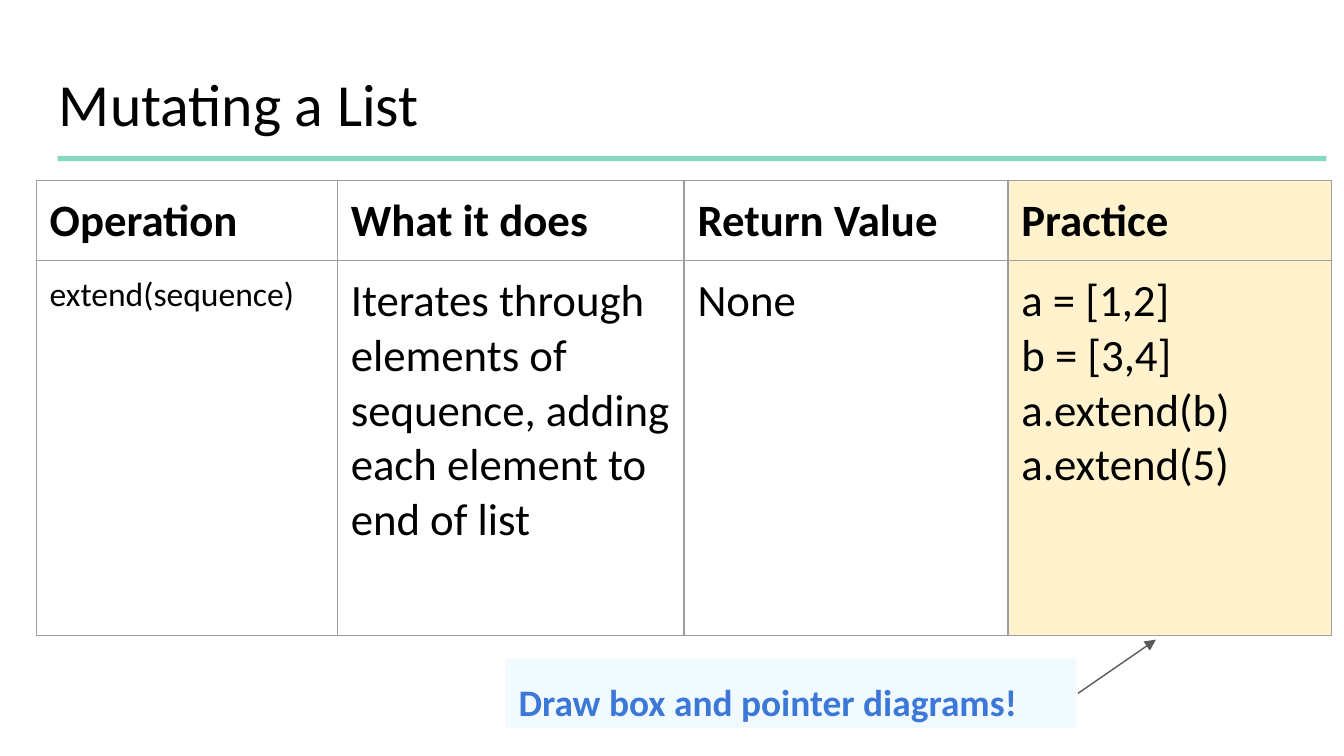
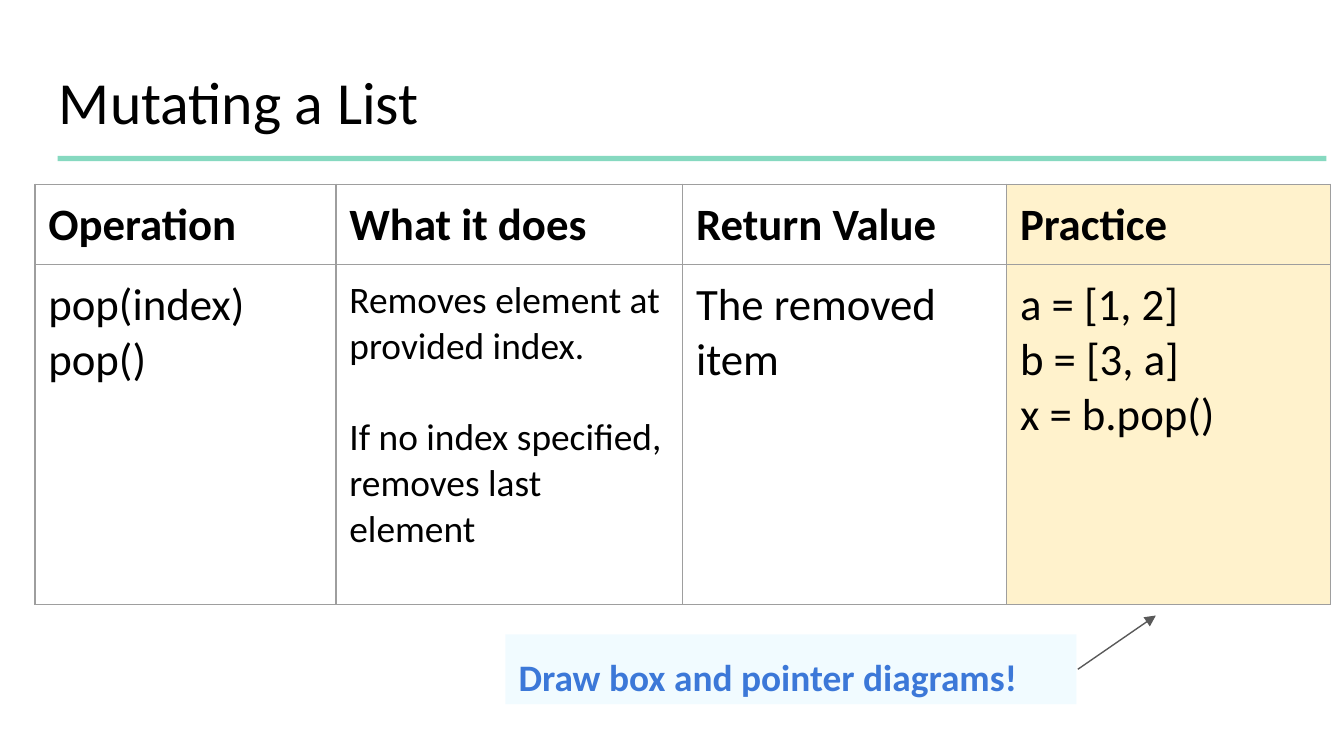
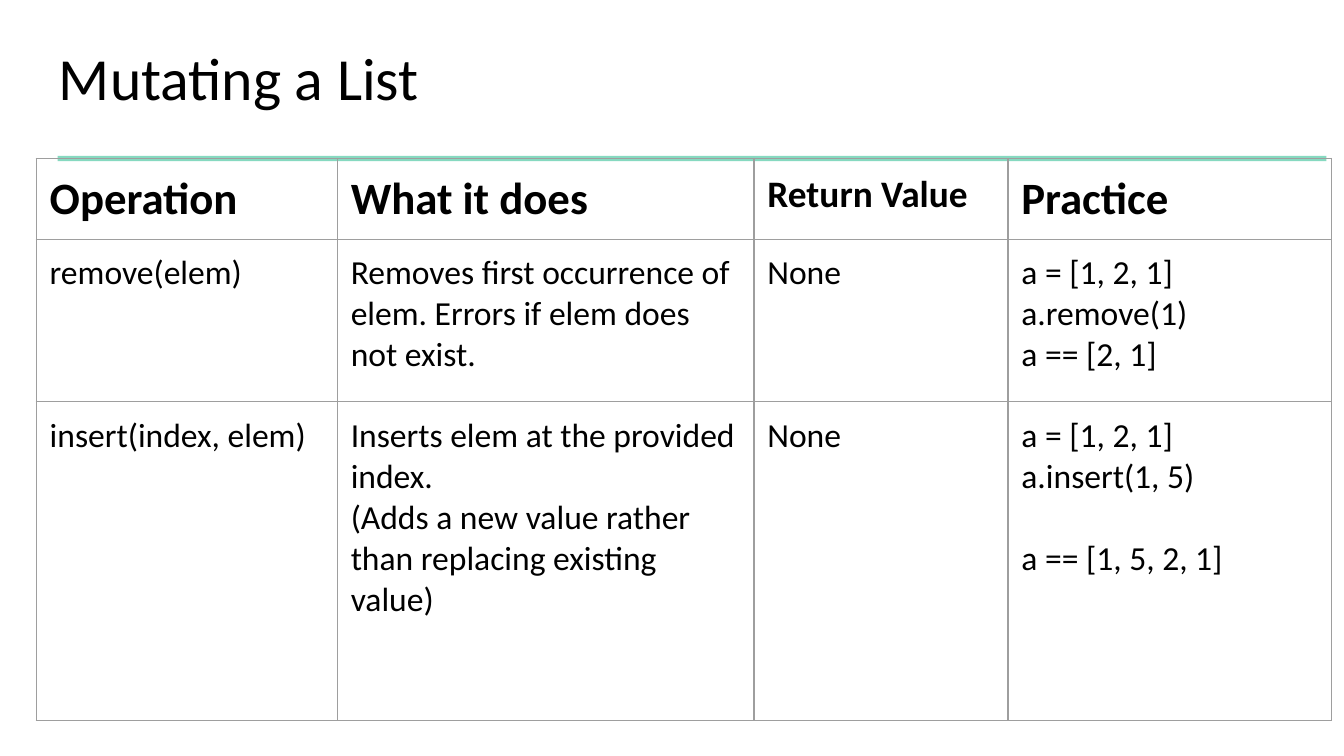
"""Build three slides on list mutation operations in Python."""
from lxml import etree
from pptx import Presentation
from pptx import util as u
from pptx.dml.color import RGBColor
from pptx.enum import shapes, text
from pptx.oxml import ns

COLOURS = {
    "ink": "000000",
    "rule": "86D9C0",
    "grid": "9E9E9E",
    "practice": "FFF2CC",
    "hint": "EDFAFF",
    "hint_text": "3C78D8",
    "arrow": "595959",
}
FONT = "Calibri"
LINE_HEIGHT = 1.22
MARGIN = u.Inches(0.1)
HEADINGS = ["Operation", "What it does", "Return Value", "Practice"]
WIDE_COLUMNS = [2.24, 2.58, 2.41, 2.41]


def rgb(name):
    """Return the named colour."""
    return RGBColor.from_string(COLOURS[name])


def fill_solid(target, colour):
    """Fill a shape or cell with a named colour."""
    target.fill.solid()
    target.fill.fore_color.rgb = rgb(colour)


def write_lines(frame, lines, size, colour="ink", bold=False):
    """Write one paragraph per line, turning an empty line into a gap above the next."""
    frame.word_wrap = True
    paragraph, gap = frame.paragraphs[0], 0
    for number, line in enumerate(lines):
        if not line:
            gap = size * LINE_HEIGHT
            continue
        if number:
            paragraph = frame.add_paragraph()
        paragraph.alignment = text.PP_ALIGN.LEFT
        paragraph.space_before, gap = u.Pt(gap), 0
        run = paragraph.add_run()
        run.text = line
        run.font.name, run.font.size, run.font.bold = FONT, u.Pt(size), bold
        run.font.color.rgb = rgb(colour)


def set_margins(frame):
    """Give a text frame or cell equal margins and top anchoring."""
    frame.margin_left = frame.margin_right = MARGIN
    frame.margin_top = frame.margin_bottom = MARGIN
    frame.vertical_anchor = text.MSO_ANCHOR.TOP


def add_block(slide, left, top, width, height, colour):
    """Add a plain rectangle without outline or shadow."""
    block = slide.shapes.add_shape(
        shapes.MSO_SHAPE.RECTANGLE, *map(u.Inches, (left, top, width, height)))
    block.shadow.inherit = False
    block.line.fill.background()
    fill_solid(block, colour)
    return block


def add_titled_slide(deck, title_top):
    """Add a slide with the shared rule and title."""
    slide = deck.slides.add_slide(deck.slide_layouts[6])
    add_block(slide, 0.43, 1.16, 9.44, 0.04, "rule")
    title = slide.shapes.add_textbox(
        *map(u.Inches, (0.34, title_top, 9.32, 0.63))).text_frame
    set_margins(title)
    write_lines(title, ["Mutating a List"], 32)
    return slide


def add_borders(cell):
    """Draw thin grey borders around a cell."""
    properties = cell._tc.get_or_add_tcPr()
    for position, side in enumerate(("lnL", "lnR", "lnT", "lnB")):
        edge = etree.Element(ns.qn(f"a:{side}"), w=str(u.Pt(0.75)))
        solid = etree.SubElement(edge, ns.qn("a:solidFill"))
        etree.SubElement(solid, ns.qn("a:srgbClr"), val=COLOURS["grid"])
        properties.insert(position, edge)


def add_operations(slide, left, top, columns, heights, operations,
                   heading_sizes=(24, 24, 24, 24), shade_practice=True):
    """Add a table of operations, each cell given as a size and its lines."""
    headings = [(size, [name]) for size, name in zip(heading_sizes, HEADINGS)]
    rows = [headings, *operations]
    grid = slide.shapes.add_table(
        len(rows), len(columns),
        *map(u.Inches, (left, top, sum(columns), sum(heights)))).table
    grid.first_row = grid.horz_banding = False
    for column, width in zip(grid.columns, columns):
        column.width = u.Inches(width)
    for r, (row, height) in enumerate(zip(rows, heights)):
        grid.rows[r].height = u.Inches(height)
        for c, (size, lines) in enumerate(row):
            cell = grid.cell(r, c)
            set_margins(cell)
            write_lines(cell.text_frame, lines, size, bold=r == 0)
            if shade_practice and HEADINGS[c] == "Practice":
                fill_solid(cell, "practice")
            else:
                cell.fill.background()
            add_borders(cell)


def add_diagram_hint(slide, top):
    """Add the translucent hint and its arrow to the practice column."""
    hint = add_block(slide, 3.76, top, 4.25, 0.52, "hint")
    tint = hint._element.spPr.find(".//" + ns.qn("a:srgbClr"))
    etree.SubElement(tint, ns.qn("a:alpha"), val="76000")
    set_margins(hint.text_frame)
    write_lines(hint.text_frame, ["Draw box and pointer diagrams!"], 20,
                "hint_text", bold=True)
    hint.text_frame.paragraphs[0].line_spacing = 1.15

    arrow = slide.shapes.add_connector(
        shapes.MSO_CONNECTOR.STRAIGHT,
        *map(u.Inches, (8.02, top + 0.26, 8.6, top - 0.14)))
    arrow.line.color.rgb = rgb("arrow")
    arrow.line.width = u.Pt(0.75)
    etree.SubElement(arrow.line._get_or_add_ln(), ns.qn("a:tailEnd"), type="triangle")
    etree.SubElement(arrow._element.spPr, ns.qn("a:effectLst"))


def main():
    """Build and save the deck."""
    deck = Presentation()
    deck.slide_width = u.Inches(10)
    deck.slide_height = deck.slide_width * 9 // 16

    extend = add_titled_slide(deck, 0.4)
    add_operations(extend, 0.27, 1.34, WIDE_COLUMNS, [0.57, 2.79], [[
        (18, ["extend(sequence)"]),
        (24, ["Iterates through elements of sequence, "
              "adding each element to end of list"]),
        (24, ["None"]),
        (24, ["a = [1,2]", "b = [3,4]", "a.extend(b)", "a.extend(5)"]),
    ]])
    add_diagram_hint(extend, 4.9)

    pop = add_titled_slide(deck, 0.38)
    add_operations(pop, 0.26, 1.37, WIDE_COLUMNS, [0.54, 2.53], [[
        (24, ["pop(index)", "pop()"]),
        (20, ["Removes element at provided index.", "",
              "If no index specified, removes last element"]),
        (24, ["The removed item"]),
        (24, ["a = [1, 2]", "b = [3, a]", "x = b.pop()"]),
    ]])
    add_diagram_hint(pop, 4.72)

    remove_insert = add_titled_slide(deck, 0.2)
    add_operations(
        remove_insert, 0.27, 1.18, [2.24, 3.1, 1.89, 2.41], [0.51, 1.21, 2.37], [
            [
                (18, ["remove(elem)"]),
                (18, ["Removes first occurrence of elem. "
                      "Errors if elem does not exist."]),
                (18, ["None"]),
                (18, ["a = [1, 2, 1]", "a.remove(1)", "a == [2, 1]"]),
            ],
            [
                (18, ["insert(index, elem)"]),
                (18, ["Inserts elem at the provided index.",
                      "(Adds a new value rather than replacing existing value)"]),
                (18, ["None"]),
                (18, ["a = [1, 2, 1]", "a.insert(1, 5)", "", "a == [1, 5, 2, 1]"]),
            ],
        ],
        heading_sizes=(24, 24, 20, 24), shade_practice=False)

    deck.save("out.pptx")


if __name__ == "__main__":
    main()
